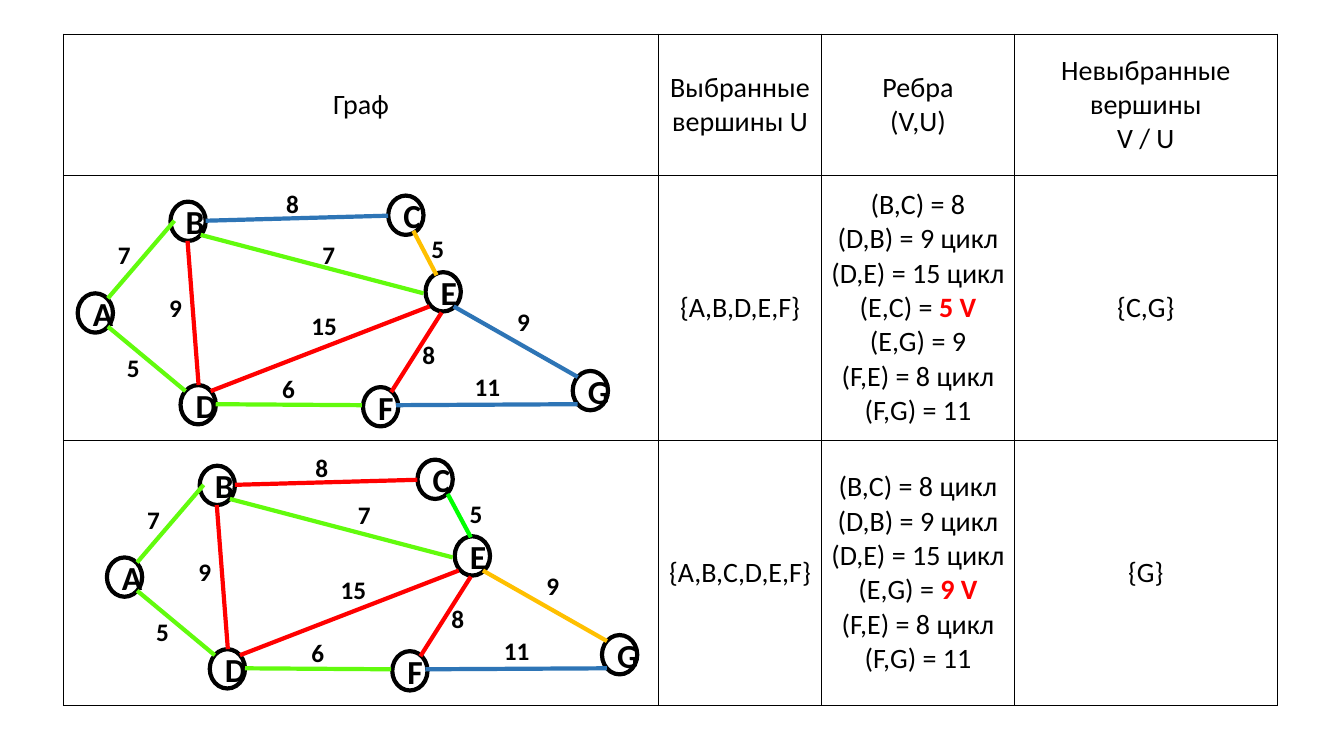
from lxml.etree import SubElement
from pptx import Presentation
from pptx.dml.color import RGBColor
from pptx.enum.shapes import MSO_CONNECTOR as Connector, MSO_SHAPE as Shape
from pptx.enum.text import MSO_ANCHOR as Anchor, MSO_AUTO_SIZE as AutoSize, PP_ALIGN as Align
from pptx.oxml.ns import qn
from pptx.util import Inches, Pt

BLACK = RGBColor(0x00, 0x00, 0x00)
WHITE = RGBColor(0xFF, 0xFF, 0xFF)
RED = RGBColor(0xFF, 0x00, 0x00)
LIME = RGBColor(0x62, 0xFB, 0x0D)
GREEN = RGBColor(0x00, 0xFF, 0x00)
BLUE = RGBColor(0x2E, 0x75, 0xB6)
AMBER = RGBColor(0xFF, 0xC0, 0x00)
FONT = "Calibri"

COLUMN_WIDTHS = (5.9, 1.62, 1.91, 2.61)
ROW_HEIGHTS = (1.4, 2.63, 2.63)
# A cell is a list of paragraphs, a paragraph is a list of lines
ROWS = (
    ([["Граф"]], [["Выбранные вершины U"]], [["Ребра"], ["(V,U)"]],
     [["Невыбранные вершины"], ["V / U"]]),
    ([], [["{A,B,D,E,F}"]],
     [["(B,C) = 8", "(D,B) = 9 цикл", "(D,E) = 15 цикл", "(E,C) = 5 V",
       "(E,G) = 9", "(F,E) = 8 цикл", "(F,G) = 11"]],
     [["{C,G}"]]),
    ([], [["{A,B,C,D,E,F}"]],
     [["(B,C) = 8 цикл", "(D,B) = 9 цикл", "(D,E) = 15 цикл", "(E,G) = 9 V",
       "(F,E) = 8 цикл", "(F,G) = 11"]],
     [["{G}"]]),
)

VERTICES = {"C": (3.83, 1.96), "G": (5.66, 3.7), "B": (1.67, 2.02), "D": (1.77, 3.84),
            "A": (0.75, 2.93), "F": (3.58, 3.86), "E": (4.2, 2.72)}
# Edge: start, end, weight, weight position, weight box width
EDGES = {
    "FG": ((5.73, 4.01), (3.93, 4.02), "11", (4.61, 3.63), 0.53),
    "BC": ((3.85, 2.14), (2.04, 2.19), "8", (2.74, 1.82), 0.35),
    "EF": ((3.88, 3.89), (4.38, 3.1), "8", (4.09, 3.32), 0.53),
    "BE": ((4.2, 2.91), (1.99, 2.33), "7", (3.1, 2.33), 0.35),
    "DE": ((2.09, 3.88), (4.26, 3.04), "15", (2.99, 3.03), 0.53),
    "DF": ((3.59, 4.02), (2.14, 4.01), "6", (2.7, 3.65), 0.35),
    "AD": ((1.84, 3.88), (1.07, 3.24), "5", (1.16, 3.45), 0.35),
    "AB": ((1.73, 2.19), (1.07, 2.96), "7", (1.07, 2.33), 0.35),
    "BD": ((1.86, 2.39), (1.97, 3.82), "9", (1.58, 2.85), 0.35),
    "CE": ((4.33, 2.73), (4.1, 2.29), "5", (4.18, 2.27), 0.35),
    "EG": ((5.73, 3.74), (4.5, 3.04), "9", (5.03, 2.99), 0.53),
}
LAST_STEP_EDGES = EDGES | {
    "BE": ((4.2, 2.91), (1.99, 2.33), "7", (3.16, 2.28), 0.35),
    "CE": ((4.38, 2.71), (4.15, 2.28), "5", (4.27, 2.27), 0.35),
}
TREE_AND_CYCLES = {"AB": LIME, "AD": LIME, "BE": LIME, "DF": LIME,
                   "BD": RED, "DE": RED, "EF": RED, "FG": BLUE}


def set_font(paragraph, size, bold):
    font = paragraph.font
    font.name, font.size, font.bold = FONT, Pt(size), bold
    font.color.rgb = BLACK


def add_borders(cell):
    properties = cell._tc.get_or_add_tcPr()
    for position, side in enumerate(("lnL", "lnR", "lnT", "lnB")):
        border = SubElement(properties, qn(f"a:{side}"), w=str(Pt(1)))
        SubElement(SubElement(border, qn("a:solidFill")), qn("a:srgbClr"), val=str(BLACK))
        properties.insert(position, border)


def write_lines(paragraph, lines):
    """Write lines with breaks; a chosen edge, marked V, gets a red weight."""
    for number, line in enumerate(lines):
        if number:
            paragraph.add_line_break()
        if line.startswith("(") and line.endswith("V"):
            edge, weight = line.split("= ")
            paragraph.add_run().text = edge + "= "
            chosen = paragraph.add_run()
            chosen.text = weight
            chosen.font.bold = True
            chosen.font.color.rgb = RED
        else:
            paragraph.add_run().text = line


def fill_cell(cell, paragraphs):
    cell.fill.solid()
    cell.fill.fore_color.rgb = WHITE
    add_borders(cell)
    cell.vertical_anchor = Anchor.MIDDLE
    frame = cell.text_frame
    for number, lines in enumerate(paragraphs):
        paragraph = frame.add_paragraph() if number else frame.paragraphs[0]
        paragraph.alignment = Align.CENTER
        set_font(paragraph, 20, False)
        write_lines(paragraph, lines)


def add_steps_table(slide):
    steps = slide.shapes.add_table(
        len(ROW_HEIGHTS), len(COLUMN_WIDTHS), Inches(0.63), Inches(0.34),
        Inches(sum(COLUMN_WIDTHS)), Inches(sum(ROW_HEIGHTS))).table
    steps.first_row = steps.horz_banding = False
    for column, width in zip(steps.columns, COLUMN_WIDTHS):
        column.width = Inches(width)
    for row_number, (row, height, contents) in enumerate(zip(steps.rows, ROW_HEIGHTS, ROWS)):
        row.height = Inches(height)
        for cell, paragraphs in zip(row.cells, contents):
            fill_cell(cell, paragraphs)
            if row_number:
                cell.margin_left = cell.margin_right = Inches(0.05)
                cell.margin_top = cell.margin_bottom = Inches(0.05)


def add_vertex(slide, letter, left, top):
    vertex = slide.shapes.add_shape(
        Shape.OVAL, Inches(left), Inches(top), Inches(0.39), Inches(0.35))
    vertex.rotation = 90
    vertex.shadow.inherit = False
    vertex.fill.background()
    vertex.line.color.rgb = BLACK
    vertex.line.width = Pt(3)
    frame = vertex.text_frame
    frame._txBody.bodyPr.set("vert", "vert270")
    frame.vertical_anchor = Anchor.MIDDLE
    frame.text = letter
    frame.paragraphs[0].alignment = Align.CENTER
    set_font(frame.paragraphs[0], 24, True)


def add_edge(slide, start, end, color):
    edge = slide.shapes.add_connector(
        Connector.STRAIGHT, *(Inches(value) for value in (*start, *end)))
    edge.line.color.rgb = color
    edge.line.width = Pt(3)
    SubElement(edge._element.spPr, qn("a:effectLst"))


def add_weight(slide, weight, left, top, width):
    frame = slide.shapes.add_textbox(
        Inches(left), Inches(top), Inches(width), Inches(0.4)).text_frame
    frame.word_wrap = True
    frame.auto_size = AutoSize.SHAPE_TO_FIT_TEXT
    frame.text = weight
    set_font(frame.paragraphs[0], 18, True)


def add_graph(slide, edges, colors, offset=(0, 0)):
    def shift(point):
        return point[0] + offset[0], point[1] + offset[1]

    for letter, corner in VERTICES.items():
        add_vertex(slide, letter, *shift(corner))
    for name, (start, end, weight, corner, width) in edges.items():
        add_edge(slide, shift(start), shift(end), colors[name])
        add_weight(slide, weight, *shift(corner), width)


def main():
    deck = Presentation()
    deck.slide_width, deck.slide_height = Inches(13.33), Inches(7.5)
    slide = deck.slides.add_slide(deck.slide_layouts[6])
    add_steps_table(slide)
    add_graph(slide, EDGES, TREE_AND_CYCLES | {"BC": BLUE, "CE": AMBER, "EG": BLUE})
    add_graph(slide, LAST_STEP_EDGES,
              TREE_AND_CYCLES | {"BC": RED, "CE": GREEN, "EG": AMBER}, offset=(0.29, 2.62))
    deck.save("out.pptx")


if __name__ == "__main__":
    main()
